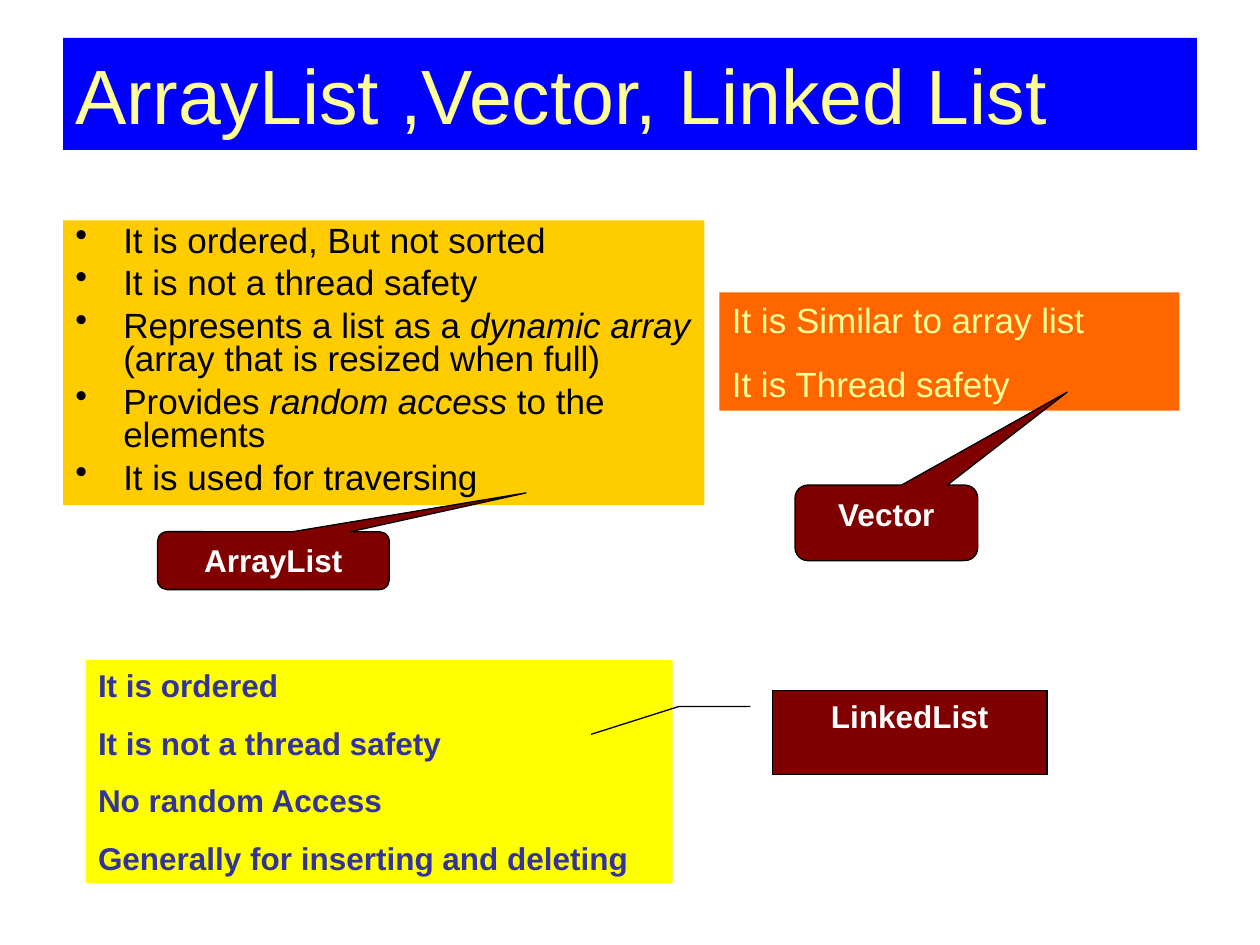
import pptx
import pptx.util
import pptx.dml.color
import pptx.enum.shapes
import pptx.enum.text
import pptx.oxml
import pptx.oxml.ns
from dataclasses import dataclass

SHAPES = pptx.enum.shapes.MSO_SHAPE
ALIGN = pptx.enum.text.PP_ALIGN
ANCHOR = pptx.enum.text.MSO_ANCHOR


@dataclass(frozen=True)
class Theme:
    font: str = "Arial"
    title_size: int = 44
    list_size: int = 20
    label_size: int = 18
    banner: str = "0000FF"
    cream: str = "FFFF99"
    gold: str = "FFCC00"
    orange: str = "FF6600"
    yellow: str = "FFFF00"
    indigo: str = "333399"
    maroon: str = "800000"
    black: str = "000000"
    white: str = "FFFFFF"


theme = Theme()
rgb = pptx.dml.color.RGBColor.from_string

deck = pptx.Presentation()
deck.slide_width = pptx.util.Inches(10)
deck.slide_height = pptx.util.Inches(7.5)
slide = deck.slides.add_slide(deck.slide_layouts[5])

# Grid of 100 columns by 75 rows
column = deck.slide_width / 100
row = deck.slide_height / 75


def place(part, box, fill, anchor=ANCHOR.TOP):
    """Put a part on the grid, fill it and ready its text frame."""
    left, top, width, height = box
    part.left, part.width = round(left * column), round(width * column)
    part.top, part.height = round(top * row), round(height * row)
    part.fill.solid()
    part.fill.fore_color.rgb = rgb(fill)
    frame = part.text_frame
    frame.word_wrap = True
    frame.auto_size = pptx.enum.text.MSO_AUTO_SIZE.NONE
    frame.vertical_anchor = anchor


def write(part, lines, size, color, bold=False, align=ALIGN.LEFT, before=0):
    """Write lines of runs; every second run in a line is italic."""
    frame = part.text_frame
    for number, runs in enumerate(lines):
        paragraph = frame.add_paragraph() if number else frame.paragraphs[0]
        paragraph.alignment = align
        paragraph.space_before = pptx.util.Pt(before)
        for position, words in enumerate(runs):
            run = paragraph.add_run()
            run.text = words
            run.font.name = theme.font
            run.font.size = pptx.util.Pt(size)
            run.font.bold = bold
            run.font.italic = position % 2 == 1
            run.font.color.rgb = rgb(color)


# Title banner
title = slide.shapes.title
place(title, (5, 3, 90, 8.9), theme.banner, ANCHOR.MIDDLE)
write(title, [["ArrayList ,Vector, Linked List"]], theme.title_size, theme.cream)

# Fact panels: box, fill, size, colour, bold, space before, lines
panels = [
    ((5, 17.5, 50.9, 22.6), theme.gold, theme.list_size, theme.black, False, 5, [
        ["It is ordered, But not sorted"],
        ["It is not a thread safety"],
        ["Represents a list as a ", "dynamic array", " (array that is resized when full)"],
        ["Provides ", "random access", " to the elements"],
        ["It is used for traversing"],
    ]),
    ((57.1, 23.2, 36.5, 9.4), theme.orange, theme.list_size, theme.cream, False, 12.5, [
        ["It is Similar to array list"],
        ["It is Thread safety"],
    ]),
    ((6.8, 52.4, 46.6, 17.7), theme.yellow, theme.label_size, theme.indigo, True, 11.2, [
        ["It is ordered"],
        ["It is not a thread safety"],
        ["No random Access"],
        ["Generally for inserting and deleting"],
    ]),
]
fact_panels = []
for box, fill, size, color, bold, before, lines in panels:
    facts = slide.shapes.add_textbox(0, 0, 0, 0)
    place(facts, box, fill)
    write(facts, lines, size, color, bold, before=before)
    fact_panels.append(facts)

# Bullets and tight lines in the ArrayList panel
indent = pptx.util.Inches(0.38)
for paragraph in fact_panels[0].text_frame.paragraphs:
    paragraph.line_spacing = 0.8
    properties = paragraph._p.get_or_add_pPr()
    properties.set("marL", str(indent))
    properties.set("indent", str(-indent))
    bullet = pptx.oxml.parse_xml(
        f'<a:buChar {pptx.oxml.ns.nsdecls("a")} char="•"/>')
    properties.append(bullet)

# Callouts naming each collection
callouts = [
    ("ArrayList", SHAPES.ROUNDED_RECTANGULAR_CALLOUT, (12.5, 42.2, 18.4, 4.6),
     (1.09, -1.17, 0.17)),
    ("Vector", SHAPES.ROUNDED_RECTANGULAR_CALLOUT, (63.1, 38.5, 14.5, 6),
     (0.99, -1.73, 0.17)),
    ("LinkedList", SHAPES.LINE_CALLOUT_2, (61.3, 54.8, 21.8, 6.7),
     (0.19, -0.08, 0.19, -0.34, 0.52, -0.66)),
]
for name, outline, box, pointer in callouts:
    callout = slide.shapes.add_shape(outline, 0, 0, 0, 0)
    callout.shadow.inherit = False
    place(callout, box, theme.maroon)
    for number, share in enumerate(pointer):
        callout.adjustments[number] = share
    callout.line.color.rgb = rgb(theme.black)
    callout.line.width = pptx.util.Pt(0.75)
    write(callout, [[name]], theme.label_size, theme.white, True, ALIGN.CENTER)

deck.save("out.pptx")
